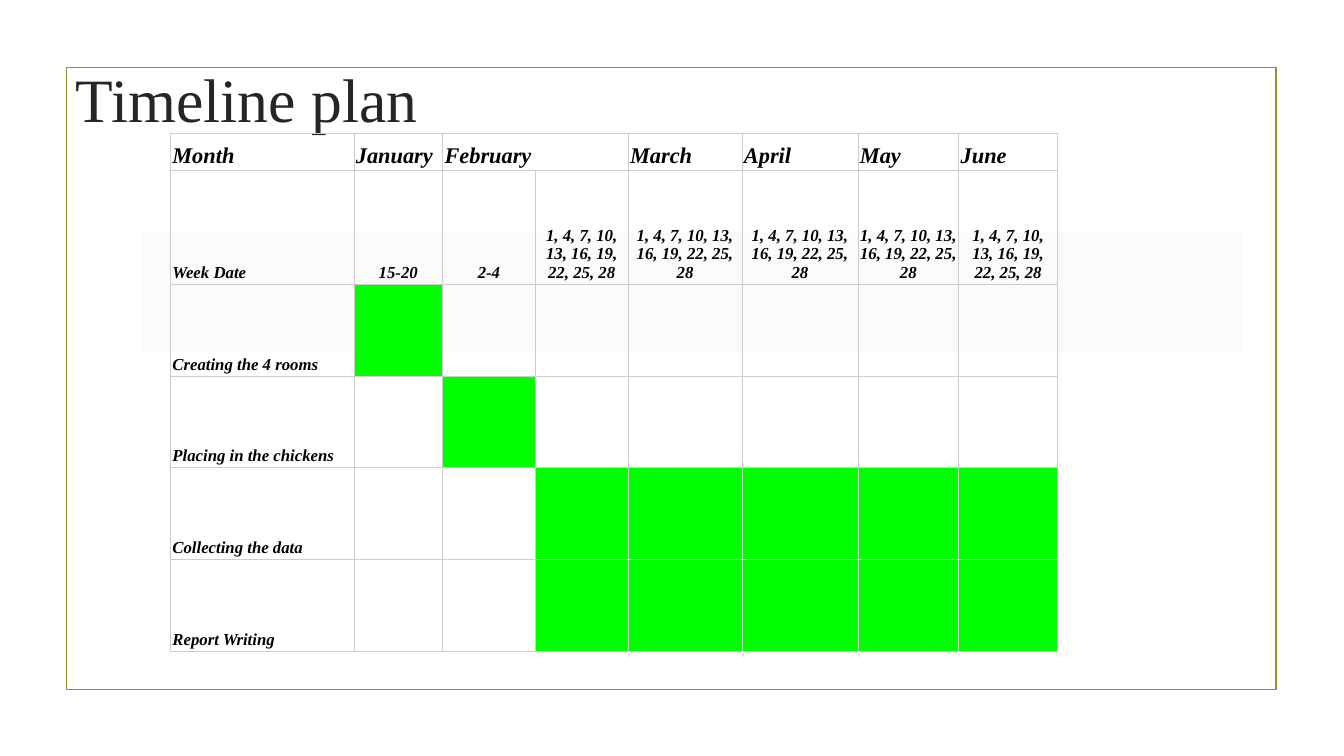
from dataclasses import dataclass
from typing import Any

from lxml.etree import SubElement
from pptx import Presentation
from pptx.dml.color import RGBColor
from pptx.enum.shapes import MSO_SHAPE
from pptx.enum.text import MSO_ANCHOR, PP_ALIGN
from pptx.oxml.ns import qn
from pptx.util import Emu, Pt

PX = 9144  # EMU per px, 100 px to the inch
COLORS = {"frame": "83992A", "title": "262626", "band": "FBFBFB", "band_line": "F9F9F9",
          "grid": "CCCCCC", "text": "000000", "done": "00FF00"}
FONT = "Times New Roman"
LABEL = {"name": FONT, "bold": True, "italic": True}
MONTH_FORMAT = LABEL | {"size": Pt(16)}
BODY_FORMAT = LABEL | {"size": Pt(12)}
TITLE_FORMAT = {"name": FONT, "size": Pt(44)}

COLUMN_WIDTHS = [182, 88, 92, 92, 113, 115, 100, 98]
HEADER_HEIGHTS = [37, 113]
TASK_HEIGHT = 91
MONTHS = ["Month", "January", "February", "", "March", "April", "May", "June"]
EVERY_THIRD_DAY = ", ".join(str(day) for day in range(1, 29, 3))
DATES = ["Week Date", "15-20", "2-4"] + [EVERY_THIRD_DAY] * 5


@dataclass
class Box:
    left: int
    top: int
    width: int
    height: int

    def emu(self) -> list[Emu]:
        return [Emu(v * PX) for v in (self.left, self.top, self.width, self.height)]


@dataclass
class Task:
    name: str
    active: range


TASKS = [
    Task("Creating the 4 rooms", range(1, 2)),
    Task("Placing in the chickens", range(2, 3)),
    Task("Collecting the data", range(3, 8)),
    Task("Report Writing", range(3, 8)),
]


def rgb(name: str) -> RGBColor:
    return RGBColor.from_string(COLORS[name])


def apply(target: Any, formats: dict[str, Any]) -> None:
    for key, value in formats.items():
        setattr(target, key, value)


def add_rect(s: Any, box: Box, line: str, fill: str | None = None) -> Any:
    sp = s.shapes.add_shape(MSO_SHAPE.RECTANGLE, *box.emu())
    sp.shadow.inherit = False
    if fill:
        sp.fill.solid()
        sp.fill.fore_color.rgb = rgb(fill)
    else:
        sp.fill.background()
    sp.line.color.rgb = rgb(line)
    sp.line.width = Pt(1.25)
    return sp


def add_title(s: Any, text: str, box: Box) -> None:
    sp = s.shapes.title
    apply(sp, dict(zip(("left", "top", "width", "height"), box.emu())))
    tf = sp.text_frame
    apply(tf, {"text": text, "vertical_anchor": MSO_ANCHOR.MIDDLE, "word_wrap": True})
    p = tf.paragraphs[0]
    p.alignment = PP_ALIGN.CENTER
    r = p.runs[0]
    apply(r.font, TITLE_FORMAT)
    r.font.color.rgb = rgb("title")


def style_cell(cell: Any, filled: bool) -> None:
    """Draw the grid lines of a cell and its fill."""
    tc_pr = cell._tc.get_or_add_tcPr()
    for side in ("lnL", "lnR", "lnT", "lnB"):
        ln = SubElement(tc_pr, qn(f"a:{side}"), w=str(Pt(0.5)))
        SubElement(SubElement(ln, qn("a:solidFill")), qn("a:srgbClr"), val=COLORS["grid"])
    if filled:
        cell.fill.solid()
        cell.fill.fore_color.rgb = rgb("done")
    else:
        cell.fill.background()


def write_cell(cell: Any, text: str, formats: dict[str, Any], align: PP_ALIGN) -> None:
    margins = dict.fromkeys(("margin_left", "margin_top", "margin_right", "margin_bottom"), Emu(2 * PX))
    apply(cell, margins | {"text": text, "vertical_anchor": MSO_ANCHOR.BOTTOM})
    p = cell.text_frame.paragraphs[0]
    p.alignment = align
    r = p.runs[0]
    apply(r.font, formats)
    r.font.color.rgb = rgb("text")


def add_timeline(s: Any, left: int, top: int) -> None:
    heights = HEADER_HEIGHTS + [TASK_HEIGHT] * len(TASKS)
    box = Box(left, top, sum(COLUMN_WIDTHS), sum(heights))
    table = s.shapes.add_table(len(heights), len(COLUMN_WIDTHS), *box.emu()).table
    apply(table, {"first_row": False, "horz_banding": False})
    for column, width in zip(table.columns, COLUMN_WIDTHS):
        column.width = Emu(width * PX)
    for row, height in zip(table.rows, heights):
        row.height = Emu(height * PX)

    texts = [MONTHS, DATES] + [[task.name] for task in TASKS]
    active = [range(0), range(0)] + [task.active for task in TASKS]
    for i, row in enumerate(table.rows):
        for j, cell in enumerate(row.cells):
            style_cell(cell, j in active[i])
            if j < len(texts[i]) and texts[i][j]:
                centred = i == 1 and j > 0
                write_cell(cell, texts[i][j], BODY_FORMAT if i else MONTH_FORMAT,
                           PP_ALIGN.CENTER if centred else PP_ALIGN.LEFT)
    table.cell(0, 2).merge(table.cell(0, 3))


def main() -> None:
    prs = Presentation()
    apply(prs, {"slide_width": Emu(1333 * PX), "slide_height": Emu(750 * PX)})
    s = prs.slides.add_slide(prs.slide_layouts[5])
    frame = add_rect(s, Box(66, 67, 1200, 617), "frame")
    s.shapes.title._element.addprevious(frame._element)
    add_title(s, "Timeline plan", Box(58, 26, 374, 143))
    add_rect(s, Box(142, 232, 1088, 115), "band_line", "band")
    add_timeline(s, 169, 132)
    prs.save("out.pptx")


if __name__ == "__main__":
    main()
